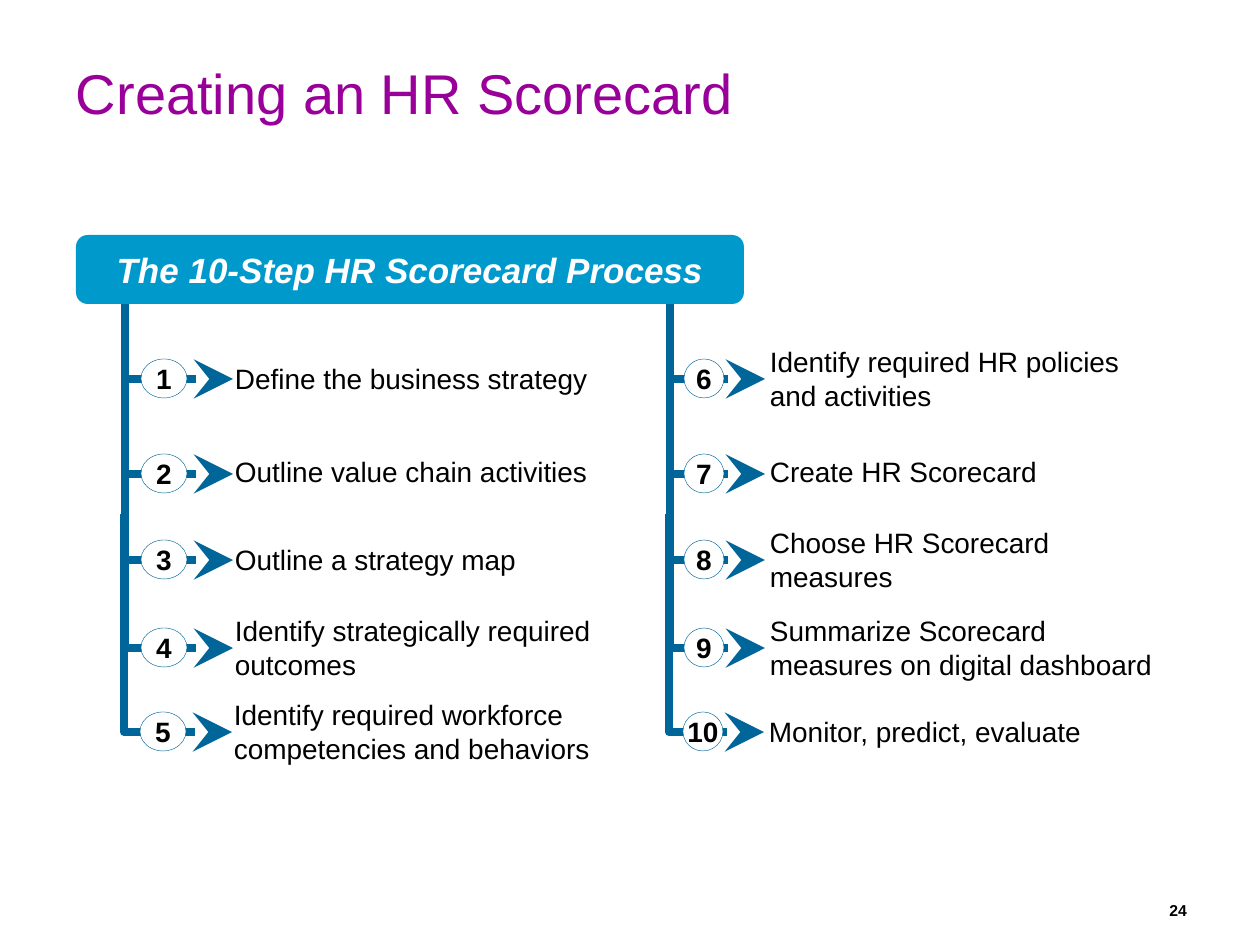
from lxml import etree
from pptx import Presentation
from pptx.dml.color import RGBColor
from pptx.enum import shapes, text
from pptx.oxml.ns import qn
from pptx.util import Pt

PX = 914400 / 126  # EMU in one px
THEME = {
    "font": "Arial",
    "title": RGBColor(0x99, 0x00, 0x99),
    "banner": RGBColor(0x00, 0x99, 0xCC),
    "rail": RGBColor(0x00, 0x66, 0x99),
    "ink": RGBColor(0, 0, 0),
    "white": RGBColor(0xFF, 0xFF, 0xFF),
    "title_size": 32,
    "banner_size": 20,
    "step_size": 16,
    "page_size": 9,
}


def px(*lengths):
    return [round(length * PX) for length in lengths]


def write(words, box, kind=None, size="step_size", color="ink", fill=None, line=None,
          bold=False, italic=False, align="LEFT", anchor="MIDDLE", wrap=True,
          inset=13, before=0):
    """Put words in a text box, or in a preset shape when kind is given."""
    if kind is None:
        holder = slide.shapes.add_textbox(*px(*box))
    else:
        holder = slide.shapes.add_shape(kind, *px(*box))
        holder.shadow.inherit = False
        holder.fill.solid()
        holder.fill.fore_color.rgb = THEME[fill]
        if line:
            holder.line.color.rgb = THEME[line]
            holder.line.width = Pt(0.25)
        else:
            holder.line.fill.background()
    frame = holder.text_frame
    frame.word_wrap = wrap
    frame.vertical_anchor = getattr(text.MSO_ANCHOR, anchor)
    frame.margin_left, frame.margin_right = px(inset, inset)
    paragraph = frame.paragraphs[0]
    paragraph.alignment = getattr(text.PP_ALIGN, align)
    paragraph.space_before = Pt(before)
    run = paragraph.add_run()
    run.text = words
    run.font.name = THEME["font"]
    run.font.size = Pt(THEME[size])
    run.font.bold, run.font.italic = bold, italic
    run.font.color.rgb = THEME[color]
    return holder


deck = Presentation()
deck.slide_width, deck.slide_height = px(1260, 945)
slide = deck.slides.add_slide(deck.slide_layouts[6])

# Title
write("Creating an HR Scorecard", (63, 52, 1131, 81), size="title_size",
      color="title", anchor="TOP")

# Each row: top of its rail, height of its branch, middle of its label, shift left
rows = [
    (253, 379, 379, 0),
    (349, 474, 472, 0),
    (341, 560, 560, 0),
    (430, 648, 648, 0),
    (514, 732, 732, 1),
]
# Each column: rail x, arrow tip x, oval left, oval width, label left, steps
columns = [
    (125, 233, 141, 46, 222, [
        "Define the business strategy",
        "Outline value chain activities",
        "Outline a strategy map",
        "Identify strategically required outcomes",
        "Identify required workforce competencies and behaviors",
    ]),
    (670, 765, 684, 40, 757, [
        "Identify required HR policies and activities",
        "Create HR Scorecard",
        "Choose HR Scorecard measures",
        "Summarize Scorecard measures on digital dashboard",
        "Monitor, predict, evaluate",
    ]),
]

# Numbered steps hanging from two rails
number = 0
for rail, tip, oval, oval_width, label, steps in columns:
    for (top, branch, middle, shift), step in zip(rows, steps):
        number += 1
        # Rail and branch, ending in an arrowhead
        outline = slide.shapes.build_freeform(*px(rail - shift, top))
        outline.add_line_segments(
            [px(rail - shift, branch), px(tip - shift, branch)], close=False)
        elbow = outline.convert_to_shape()
        elbow.shadow.inherit = False
        elbow.fill.background()
        elbow.line.color.rgb = THEME["rail"]
        elbow.line.width = Pt(4.5)
        stroke = elbow.line.fill._xPr
        etree.SubElement(stroke, qn("a:round"))
        etree.SubElement(stroke, qn("a:tailEnd"), type="stealth", w="lg", len="lg")

        # Number and label
        write(str(number), (oval - shift, branch - 20, oval_width, 39),
              kind=shapes.MSO_SHAPE.OVAL, fill="white", line="rail",
              bold=True, align="CENTER", wrap=False)
        write(step, (label - shift, middle - 30, 415, 59), before=10)

# Banner, over the tops of the rails
banner = write("The 10-Step HR Scorecard Process", (76, 235, 668, 69),
               kind=shapes.MSO_SHAPE.ROUNDED_RECTANGLE, size="banner_size",
               color="white", fill="banner", bold=True, italic=True, align="CENTER")
banner.adjustments[0] = 0.17

# Page number
write("24", (882, 876, 305, 50), size="page_size", bold=True, align="RIGHT",
      anchor="BOTTOM", inset=0)

deck.save("out.pptx")
